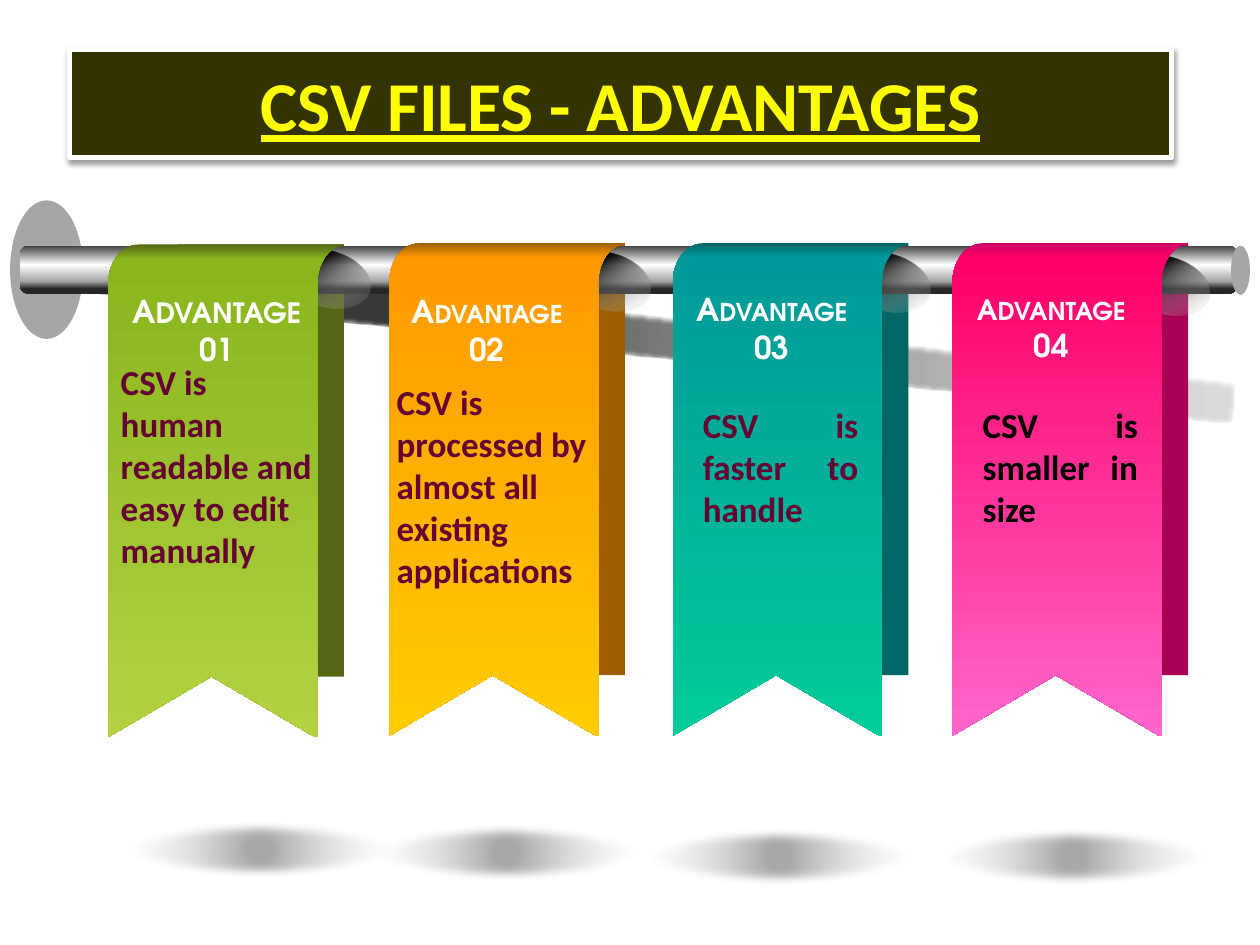
import dataclasses

import pptx
import pptx.dml.color
import pptx.enum.shapes
import pptx.enum.text
import pptx.oxml
import pptx.oxml.ns
import pptx.util

Inches = pptx.util.Inches
Pt = pptx.util.Pt
SHAPES = pptx.enum.shapes.MSO_SHAPE
ALIGN = pptx.enum.text.PP_ALIGN


@dataclasses.dataclass(frozen=True)
class Theme:
    body_font: str = "Calibri"
    heading_font: str = "TeX Gyre Adventor"
    title_size: int = 40
    body_size: int = 20
    number_size: int = 18
    title_fill: str = "333300"
    title_text: str = "FFFF00"
    white: str = "FFFFFF"
    black: str = "000000"
    plum: str = "660033"
    metal: str = "A6A6A6"
    # Gradient stops: position %, colour, opacity %
    rod: tuple = ((0, "404040", 100), (40, "FFFFFF", 100),
                  (74, "A6A6A6", 100), (90, "262626", 100))
    rod_shadow: tuple = ((0, "A6A6A6", 39), (68, "000000", 78))
    fold_shadow: tuple = ((30, "000000", 100), (90, "E4E4E4", 0))
    floor_shadow: tuple = ((8, "000000", 34), (100, "E4E4E4", 0))


THEME = Theme()


@dataclasses.dataclass(frozen=True)
class Ribbon:
    left: float
    top: float
    back: str
    colors: tuple          # fold edge, top, bottom
    number: str
    body: str
    body_color: str
    heading_box: tuple     # left, top, width, height within the ribbon
    body_box: tuple
    fold: tuple            # left, top of the fold shadow within the ribbon
    heading_sizes: tuple = (18, 14)
    align: object = None


RIBBONS = (
    Ribbon(0.86, 1.94, "556616", ("556616", "89B51D", "B2D242"), "01",
           "CSV is human readable and easy to edit manually", THEME.plum,
           (0, 0.33, 1.72, 0.71), (0, 0.87, 1.72, 1.78), (1.39, 0.05), (18, 16)),
    Ribbon(3.09, 1.93, "9E5E00", ("9E5E00", "FF9900", "FFCC00"), "02",
           "CSV is processed by almost all existing applications", THEME.plum,
           (-0.01, 0.34, 1.57, 0.71), (-0.04, 1.04, 1.72, 1.78), (1.38, 0.08)),
    Ribbon(5.34, 1.93, "006666", ("006666", "009999", "00CC99"), "03",
           "CSV is faster to handle", THEME.plum,
           (0, 0.32, 1.57, 0.71), (0.14, 1.22, 1.43, 1.11), (1.35, 0.09),
           align=ALIGN.JUSTIFY),
    Ribbon(7.56, 1.93, "A80054", ("CC0066", "FF0066", "FF66CC"), "04",
           "CSV is smaller in size", THEME.black,
           (0, 0.34, 1.57, 0.67), (0.14, 1.22, 1.43, 1.11), (1.35, 0.11),
           (16, 14), ALIGN.JUSTIFY),
)
FLOOR_SPOTS = ((0.9, 6.51), (2.86, 6.54), (5.02, 6.57), (7.36, 6.57))


def rgb(color):
    return pptx.dml.color.RGBColor.from_string(color)


def drawing_xml(text):
    return pptx.oxml.parse_xml(
        text.replace(" ", f" {pptx.oxml.ns.nsdecls('a')} ", 1))


def clean(shape, color):
    shape.shadow.inherit = False
    shape.fill.solid()
    shape.fill.fore_color.rgb = rgb(color)
    shape.line.fill.background()


def add_effect(shape, text):
    effects = shape._element.spPr.find(pptx.oxml.ns.qn("a:effectLst"))
    effects.append(drawing_xml(text))


def set_gradient(shape, stops, angle=None):
    """Linear gradient at a clockwise angle, or circular without one."""
    stop_xml = "".join(
        f'<a:gs pos="{position * 1000}"><a:srgbClr val="{color}">'
        f'<a:alpha val="{opacity * 1000}"/></a:srgbClr></a:gs>'
        for position, color, opacity in stops)
    if angle is None:
        direction = ('<a:path path="circle"><a:fillToRect l="50000" t="50000" '
                     'r="50000" b="50000"/></a:path>')
    else:
        direction = f'<a:lin ang="{angle * 60000}" scaled="0"/>'
    properties = shape._element.spPr
    properties.replace(
        properties.find(pptx.oxml.ns.qn("a:solidFill")),
        drawing_xml(f'<a:gradFill rotWithShape="1"><a:gsLst>{stop_xml}</a:gsLst>'
                    f'{direction}</a:gradFill>'))


def add_preset(slide, kind, box, color, rotation=0):
    shape = slide.shapes.add_shape(kind, *map(Inches, box))
    clean(shape, color)
    shape.rotation = rotation
    return shape


def format_run(run, font, size, color):
    run.font.name = font
    run.font.size = Pt(size)
    run.font.bold = True
    run.font.color.rgb = rgb(color)


def add_text_frame(slide, box):
    text_frame = slide.shapes.add_textbox(*map(Inches, box)).text_frame
    text_frame.word_wrap = True
    return text_frame


def add_title(slide, box):
    title = slide.shapes.title
    title.left, title.top, title.width, title.height = map(Inches, box)
    clean(title, THEME.title_fill)
    title.line.color.rgb = rgb(THEME.white)
    title.line.width = Pt(3)
    add_effect(title, '<a:outerShdw blurRad="39370" dist="20320" dir="5400000">'
                      '<a:srgbClr val="000000"><a:alpha val="38000"/></a:srgbClr>'
                      '</a:outerShdw>')
    text_frame = title.text_frame
    text_frame.text = "CSV FILES - ADVANTAGES"
    text_frame.auto_size = pptx.enum.text.MSO_AUTO_SIZE.NONE
    text_frame.vertical_anchor = pptx.enum.text.MSO_ANCHOR.MIDDLE
    paragraph = text_frame.paragraphs[0]
    paragraph.alignment = ALIGN.CENTER
    format_run(paragraph.runs[0], THEME.body_font, THEME.title_size, THEME.title_text)
    paragraph.runs[0].font.underline = True


def add_rod(slide, box):
    left, top, width, height = box
    add_preset(slide, SHAPES.OVAL, (left - 0.08, top - 0.36, 0.58, 1.1), THEME.metal)
    rod = add_preset(slide, SHAPES.ROUNDED_RECTANGLE, box, THEME.metal)
    set_gradient(rod, THEME.rod, 90)
    add_preset(slide, SHAPES.OVAL, (left + width - 0.05, top, 0.15, 0.39), THEME.metal)


def curve(start, control_1, control_2, end, steps=12):
    """Points along a cubic curve, after its start."""
    for step in range(1, steps + 1):
        t = step / steps
        weights = ((1 - t) ** 3, 3 * t * (1 - t) ** 2, 3 * t * t * (1 - t), t ** 3)
        yield tuple(sum(w * p for w, p in zip(weights, axis))
                    for axis in zip(start, control_1, control_2, end))


def add_ribbon(slide, ribbon):
    left, top = ribbon.left, ribbon.top

    def within(box):
        return (left + box[0], top + box[1], *box[2:])

    # Shadow where the ribbon folds over the rod
    fold = add_preset(slide, SHAPES.OVAL, within((*ribbon.fold, 0.7, 0.45)),
                      THEME.metal, 15.7)
    set_gradient(fold, THEME.fold_shadow, 45)

    # Front of the ribbon
    outline = [(1.87, 0), (1.85, 0.01),
               *curve((1.85, 0.01), (1.74, 0.03), (1.66, 0.16), (1.66, 0.3)),
               (1.66, 3.91), (1.64, 3.91), (0.82, 3.43), (0, 3.91), (0, 0.31),
               *curve((0, 0.31), (0, 0.14), (0.11, 0), (0.24, 0))]
    points = [(Inches(left + x), Inches(top + y)) for x, y in outline]
    builder = slide.shapes.build_freeform(*points[0])
    builder.add_line_segments(points[1:], close=True)
    front = builder.convert_to_shape()
    clean(front, ribbon.colors[1])
    set_gradient(front, [(position, color, 100) for position, color
                         in zip((0, 3, 100), ribbon.colors)], 90)

    # Heading with a larger initial, then the number
    text_frame = add_text_frame(slide, within(ribbon.heading_box))
    heading, number = text_frame.paragraphs[0], text_frame.add_paragraph()
    pieces = ((heading, "A", ribbon.heading_sizes[0]),
              (heading, "DVANTAGE", ribbon.heading_sizes[1]),
              (number, ribbon.number, THEME.number_size))
    for paragraph, text, size in pieces:
        paragraph.alignment = ALIGN.CENTER
        run = paragraph.add_run()
        run.text = text
        format_run(run, THEME.heading_font, size, THEME.white)

    # Body
    text_frame = add_text_frame(slide, within(ribbon.body_box))
    text_frame.text = ribbon.body
    paragraph = text_frame.paragraphs[0]
    paragraph.alignment = ribbon.align
    format_run(paragraph.runs[0], THEME.body_font, THEME.body_size, ribbon.body_color)


def add_soft_shadow(slide, kind, box, stops, softness, angle=None, rotation=0):
    shadow = add_preset(slide, kind, box, THEME.metal, rotation)
    set_gradient(shadow, stops, angle)
    add_effect(shadow, f'<a:softEdge rad="{Pt(softness)}"/>')


def main():
    presentation = pptx.Presentation()
    presentation.slide_width, presentation.slide_height = Inches(10), Inches(7.5)
    slide = presentation.slides.add_slide(presentation.slide_layouts[5])
    add_title(slide, (0.55, 0.39, 8.75, 0.86))
    add_soft_shadow(slide, SHAPES.ROUNDED_RECTANGLE, (0.07, 2.48, 9.75, 0.33),
                    THEME.rod_shadow, 2, 180, 6.5)
    for ribbon in reversed(RIBBONS):
        add_preset(slide, SHAPES.RECTANGLE, (ribbon.left + 0.55, ribbon.top, 1.32, 3.43),
                   ribbon.back)
    add_rod(slide, (0.16, 1.95, 9.66, 0.38))
    for ribbon in RIBBONS:
        add_ribbon(slide, ribbon)
    for left, top in FLOOR_SPOTS:
        add_soft_shadow(slide, SHAPES.OVAL, (left, top, 2.32, 0.46),
                        THEME.floor_shadow, 5)
    presentation.save("out.pptx")


if __name__ == "__main__":
    main()
